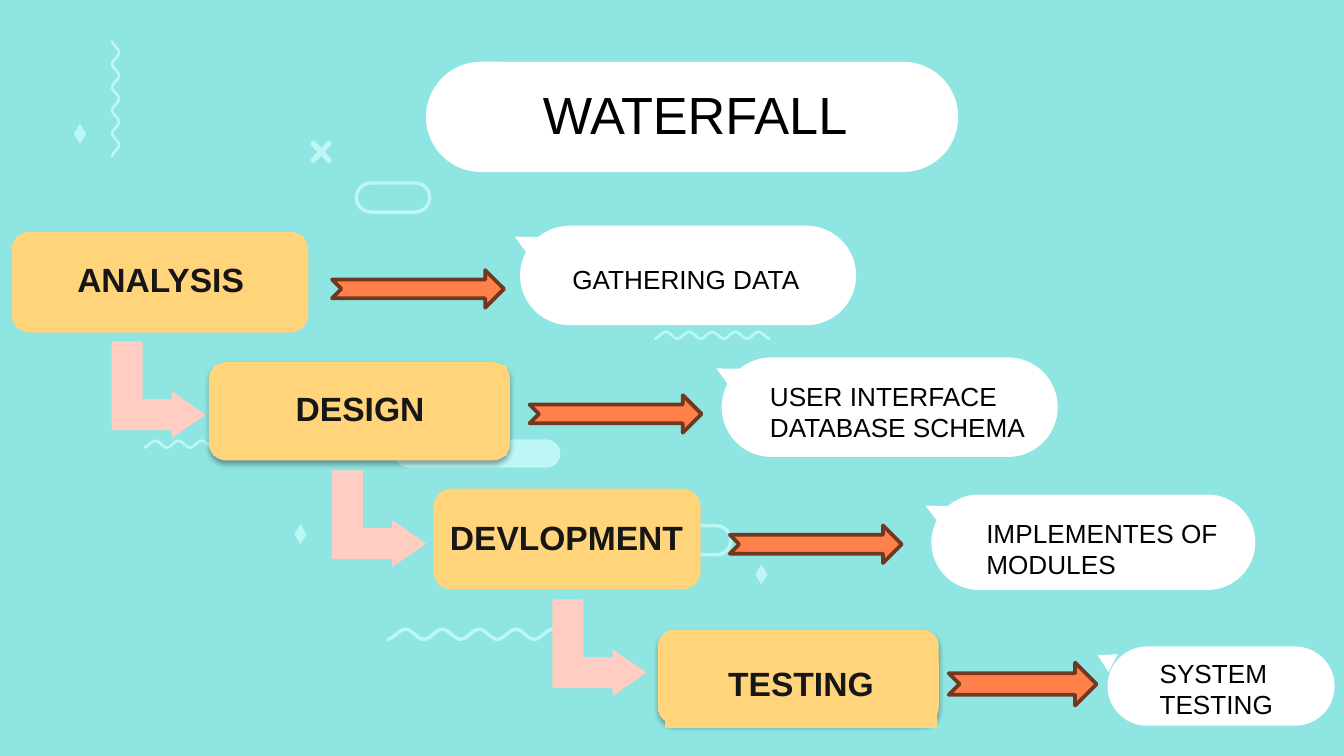
import math
from typing import NamedTuple, Optional

from lxml import etree
from pptx import Presentation
from pptx.dml.color import RGBColor
from pptx.enum import shapes, text
from pptx.oxml import ns
from pptx import util as u

AQUA = RGBColor(0x8F, 0xE5, 0xE2)
PALE_AQUA = RGBColor(0xBC, 0xF7, 0xF5)
WHITE = RGBColor(0xFF, 0xFF, 0xFF)
BLACK = RGBColor(0x00, 0x00, 0x00)
INK = RGBColor(0x16, 0x16, 0x16)
YELLOW = RGBColor(0xFF, 0xD4, 0x7B)
PINK = RGBColor(0xFF, 0xCD, 0xC1)
ORANGE = RGBColor(0xFF, 0x80, 0x48)
BROWN = RGBColor(0x70, 0x38, 0x20)

COLUMNS, ROWS = 100, 56.25
CELL = u.Inches(10) // COLUMNS
PRESET = shapes.MSO_SHAPE


class Box(NamedTuple):
    column: float
    row: float
    columns: float
    rows: float


class Stage(NamedTuple):
    title: str
    face: Box
    label: Box
    arrow: Box
    inset: float = 0.06
    border: float = 2
    raised: bool = False


class Bubble(NamedTuple):
    lines: tuple[str, ...]
    body: Box
    tail: Box
    words: Box


class Wave(NamedTuple):
    box: Box
    thickness: float
    rotation: float = 0


STAGES = (
    Stage("ANALYSIS", Box(1, 17.4, 21.8, 7.2), Box(1.4, 17.7, 21.1, 6.5), Box(24.7, 20.1, 12.8, 2.8)),
    Stage("DESIGN", Box(15.6, 27, 22.3, 7.2), Box(16, 27.3, 21.6, 6.5), Box(39.4, 29.4, 12.8, 2.8),
          raised=True),
    Stage("DEVLOPMENT", Box(32.4, 36.5, 19.6, 7.2), Box(32.7, 36.9, 18.9, 6.5), Box(54.3, 39.1, 12.8, 2.8)),
    Stage("TESTING", Box(49, 46.9, 20.8, 6.9), Box(49.5, 47.9, 20.2, 6.2), Box(70.6, 49.3, 11, 3.2),
          inset=0.1, border=0.75, raised=True),
)
BUBBLES = (
    Bubble(("GATHERING DATA",), Box(38.7, 16.8, 25, 7.4), Box(38.2, 17.1, 1.9, 1.9),
           Box(41.6, 19.1, 20.2, 3.4)),
    Bubble(("USER INTERFACE", "DATABASE SCHEMA"), Box(53.7, 26.6, 25, 7.4), Box(53.2, 26.9, 1.9, 1.9),
           Box(56.3, 27.8, 21.8, 5.7)),
    Bubble(("IMPLEMENTES OF MODULES",), Box(69.3, 36.8, 24.1, 7.1), Box(68.8, 37.1, 1.8, 1.9),
           Box(72.4, 38, 19.7, 5.7)),
    Bubble(("SYSTEM TESTING",), Box(82.4, 48.1, 16.9, 5.9), Box(81.5, 48.4, 1.5, 1.3),
           Box(85.3, 48.4, 14, 5.7)),
)
WAVES = (
    Wave(Box(28.8, 46.7, 13.7, 1), 0.26),
    Wave(Box(48.7, 24.6, 8.6, 0.7), 0.2),
    Wave(Box(10.7, 32.7, 8.6, 0.7), 0.2),
    Wave(Box(4.3, 7, 8.6, 0.7), 0.2, rotation=90),
)
DIAMONDS = ((5.5, 9.2), (56.2, 42), (21.9, 39))
RINGS = ((48.8, 39), (26.4, 13.5))
ELBOW_COUNT = 3


def cells(count: float) -> int:
    return round(count * CELL)


def paint(shape, fill: Optional[RGBColor], line: Optional[RGBColor] = None, width: float = 1) -> None:
    shape.shadow.inherit = False
    if fill is None:
        shape.fill.background()
    else:
        shape.fill.solid()
        shape.fill.fore_color.rgb = fill
    if line is None:
        shape.line.fill.background()
    else:
        shape.line.color.rgb = line
        shape.line.width = u.Pt(width)


def add_preset(slide, preset, box: Box, fill: Optional[RGBColor], line: Optional[RGBColor] = None,
               width: float = 1, adjust: tuple[float, ...] = (), rotation: float = 0):
    shape = slide.shapes.add_shape(preset, *map(cells, box))
    paint(shape, fill, line, width)
    for index, value in enumerate(adjust):
        shape.adjustments[index] = value
    shape.rotation = rotation
    return shape


def write(shape, *lines: str, size: float, color: RGBColor = BLACK, bold: bool = False,
          align=text.PP_ALIGN.LEFT, anchor=text.MSO_ANCHOR.TOP, spacing: float = 1,
          inset: Optional[float] = None) -> None:
    frame = shape.text_frame
    frame.word_wrap = True
    frame.vertical_anchor = anchor
    if inset is not None:
        frame.margin_left = frame.margin_right = u.Inches(inset)
        frame.margin_top = frame.margin_bottom = u.Inches(inset)
    for index, line in enumerate(lines):
        paragraph = frame.add_paragraph() if index else frame.paragraphs[0]
        paragraph.alignment = align
        paragraph.line_spacing = spacing
        run = paragraph.add_run()
        run.text = line
        run.font.name = "Arial"
        run.font.size = u.Pt(size)
        run.font.bold = bold
        run.font.color.rgb = color


def add_shadow(shape) -> None:
    effects = shape._element.spPr.find(ns.qn("a:effectLst"))
    shadow = etree.SubElement(effects, ns.qn("a:outerShdw"), blurRad=str(u.Pt(3.1)),
                              dist=str(u.Pt(1.8)), dir="5400000", rotWithShape="0")
    color = etree.SubElement(shadow, ns.qn("a:srgbClr"), val="000000")
    etree.SubElement(color, ns.qn("a:alpha"), val="35000")


def draw_wave(slide, wave: Wave, crests: int = 5, steps: int = 100) -> None:
    box, half = wave.box, wave.thickness / 2
    amplitude = box.rows / 2 - half
    frequency = 2 * math.pi * crests / box.columns
    upper, lower = [], []
    for step in range(steps + 1):
        x = box.columns * step / steps
        y = box.rows / 2 + amplitude * math.cos(frequency * x)
        slope = -amplitude * frequency * math.sin(frequency * x)
        length = math.hypot(1, slope)
        shift_x, shift_y = half * slope / length, half / length
        upper.append((cells(box.column + x + shift_x), cells(box.row + y - shift_y)))
        lower.append((cells(box.column + x - shift_x), cells(box.row + y + shift_y)))
    outline = upper + lower[::-1]
    builder = slide.shapes.build_freeform(*outline[0])
    builder.add_line_segments(outline[1:], close=True)
    shape = builder.convert_to_shape()
    paint(shape, PALE_AQUA)
    shape.rotation = wave.rotation


def draw_decoration(slide) -> None:
    add_preset(slide, PRESET.ROUNDED_RECTANGLE, Box(29.4, 32.7, 12.3, 2.1), PALE_AQUA, adjust=(0.5,))
    for wave in WAVES:
        draw_wave(slide, wave)
    for column, row in DIAMONDS:
        add_preset(slide, PRESET.DIAMOND, Box(column, row, 0.9, 1.5), PALE_AQUA)
    for column, row in RINGS:
        add_preset(slide, PRESET.ROUNDED_RECTANGLE, Box(column + 0.12, row + 0.12, 5.46, 2.16),
                   None, PALE_AQUA, 1.8, adjust=(0.5,))
    for angle in (47, 133):
        add_preset(slide, PRESET.ROUNDED_RECTANGLE, Box(22.85, 11.1, 2.1, 0.4), PALE_AQUA,
                   adjust=(0.5,), rotation=angle)


def draw_stage(slide, stage: Stage) -> None:
    face = add_preset(slide, PRESET.ROUNDED_RECTANGLE, stage.face, YELLOW, YELLOW,
                      0.75 if stage.raised else 2)
    if stage.raised:
        add_shadow(face)
    label = add_preset(slide, PRESET.RECTANGLE, stage.label, YELLOW, YELLOW, stage.border)
    write(label, stage.title, size=18, color=INK, bold=True, align=text.PP_ALIGN.CENTER,
          anchor=text.MSO_ANCHOR.MIDDLE, spacing=0.9, inset=stage.inset)
    add_preset(slide, PRESET.NOTCHED_RIGHT_ARROW, stage.arrow, ORANGE, BROWN, 2)


def draw_bubble(slide, bubble: Bubble) -> None:
    add_preset(slide, PRESET.ROUNDED_RECTANGLE, bubble.body, WHITE, adjust=(0.5,))
    add_preset(slide, PRESET.ISOSCELES_TRIANGLE, bubble.tail, WHITE, rotation=297.3)
    write(slide.shapes.add_textbox(*map(cells, bubble.words)), *bubble.lines, size=14)


def main() -> None:
    presentation = Presentation()
    presentation.slide_width, presentation.slide_height = cells(COLUMNS), cells(ROWS)
    slide = presentation.slides.add_slide(presentation.slide_layouts[6])
    slide.background.fill.solid()
    slide.background.fill.fore_color.rgb = AQUA

    draw_decoration(slide)
    add_preset(slide, PRESET.ROUNDED_RECTANGLE, Box(31.7, 4.6, 39.6, 8.2), WHITE, adjust=(0.5,))
    write(slide.shapes.add_textbox(*map(cells, Box(39.4, 5.6, 26.9, 5.7))), "WATERFALL", size=28)
    for index in range(ELBOW_COUNT):
        add_preset(slide, PRESET.BENT_UP_ARROW, Box(8.2 + 16.4 * index, 25.5 + 9.6 * index, 7.2, 7),
                   PINK, adjust=(0.33, 0.25, 0.36), rotation=90)
    for stage in STAGES:
        draw_stage(slide, stage)
    for bubble in BUBBLES:
        draw_bubble(slide, bubble)
    presentation.save("out.pptx")


if __name__ == "__main__":
    main()
